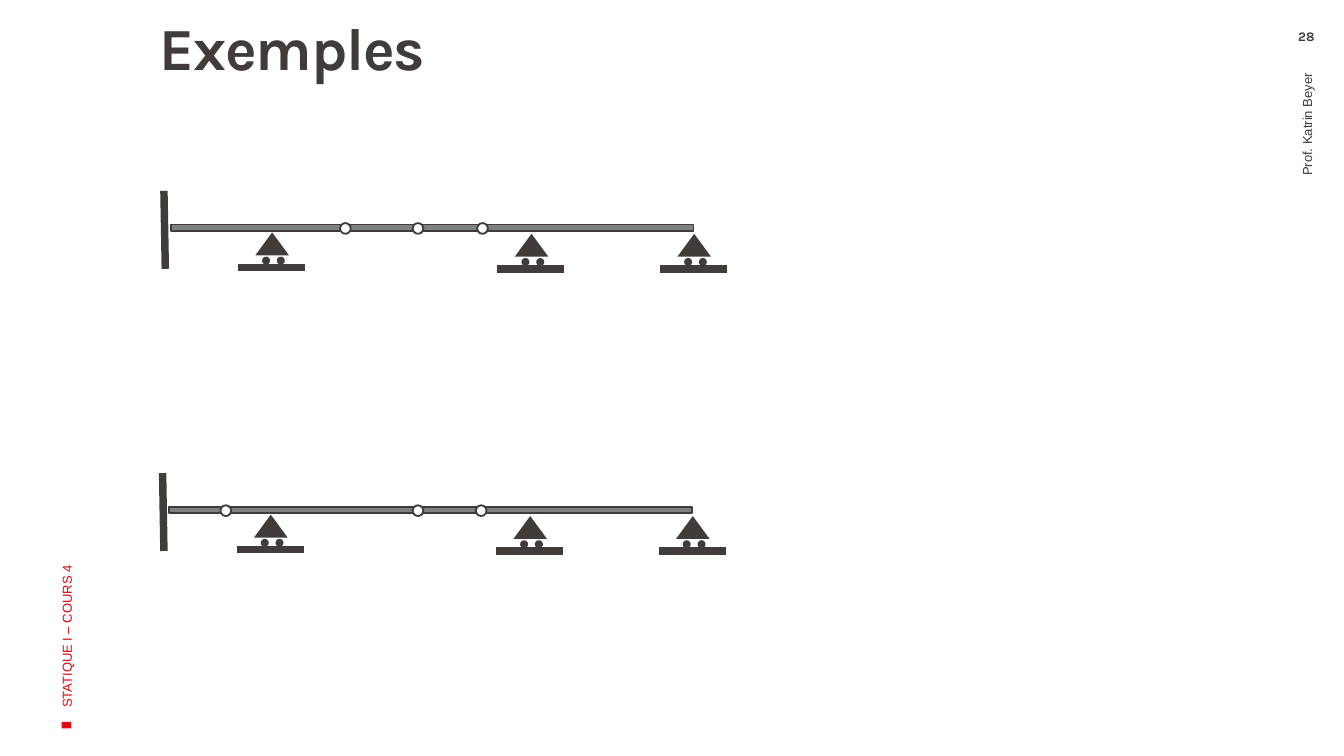
from dataclasses import dataclass

from lxml import etree
from pptx import Presentation
from pptx.dml.color import RGBColor
from pptx.enum.shapes import MSO_CONNECTOR, MSO_SHAPE
from pptx.enum.text import MSO_ANCHOR, MSO_AUTO_SIZE, PP_ALIGN
from pptx.oxml.ns import qn
from pptx.util import Inches, Pt

RECT, OVAL = MSO_SHAPE.RECTANGLE, MSO_SHAPE.OVAL
WEDGE = MSO_SHAPE.ISOSCELES_TRIANGLE
LINE = MSO_CONNECTOR.STRAIGHT
TOP, MIDDLE = MSO_ANCHOR.TOP, MSO_ANCHOR.MIDDLE
LEFT, CENTER, RIGHT = PP_ALIGN.LEFT, PP_ALIGN.CENTER, PP_ALIGN.RIGHT


@dataclass(frozen=True)
class Theme:
    dark: RGBColor = RGBColor(0x41, 0x3C, 0x3A)
    gray: RGBColor = RGBColor(0x80, 0x80, 0x80)
    red: RGBColor = RGBColor(0xE3, 0x06, 0x13)
    white: RGBColor = RGBColor(0xFF, 0xFF, 0xFF)
    head: str = "Karla"
    body: str = "Arial"
    big: int = 32
    small: int = 7
    thin: int = 1
    thick: int = 4


THEME = Theme()


def add_form(shapes, kind, box, fill, edge=None):
    form = shapes.add_shape(kind, *map(Inches, box))
    form.shadow.inherit = False
    form.fill.solid()
    form.fill.fore_color.rgb = fill
    if edge is None:
        form.line.fill.background()
    else:
        form.line.color.rgb = edge
        form.line.width = Pt(THEME.thin)
    return form


def add_bar(shapes, start, end):
    bar = shapes.add_connector(LINE, *map(Inches, (*start, *end)))
    bar.line.color.rgb = THEME.dark
    bar.line.width = Pt(THEME.thick)
    etree.SubElement(bar._element.spPr, qn("a:effectLst"))


def set_text(shape, text, font, size, color, bold=False, align=LEFT,
             anchor=TOP, insets=(0.1, 0.05, 0.1, 0.05)):
    frame = shape.text_frame
    frame.word_wrap = True
    frame.auto_size = MSO_AUTO_SIZE.NONE
    frame.vertical_anchor = anchor
    (frame.margin_left, frame.margin_top,
     frame.margin_right, frame.margin_bottom) = map(Inches, insets)
    para = frame.paragraphs[0]
    para.alignment = align
    run = para.add_run()
    run.text = text
    run.font.name = font
    run.font.size = Pt(size)
    run.font.bold = bold
    run.font.color.rgb = color
    return para, run


def add_label(slide, box, text, turn=0, **style):
    label = slide.shapes.add_textbox(*map(Inches, box))
    label.rotation = turn
    set_text(label, text, size=THEME.small, **style)


def add_title(slide, box, text):
    title = slide.shapes.title
    title.left, title.top, title.width, title.height = map(Inches, box)
    para, run = set_text(title, text, THEME.head, THEME.big, THEME.dark,
                         bold=True, insets=(0.2, 0, 0.08, 0.05))
    para.line_spacing = 0.9
    run.font._element.set("spc", "-70")


def add_margins(slide, width):
    mark = add_form(slide.shapes, RECT, (0.47, 5.36, 0.05, 0.07), THEME.red)
    mark.rotation = 270
    add_label(slide, (-1.33, 3.04, 3.65, 1), "STATIQUE I – COURS 4", 270,
              font=THEME.body, color=THEME.red, anchor=MIDDLE)
    add_label(slide, (width - 2.21, 2.05, 3.87, 0.56), "Prof. Katrin Beyer",
              270, font=THEME.body, color=THEME.dark, align=RIGHT,
              anchor=MIDDLE, insets=(0.1, 0.05, 0.15, 0.05))
    add_label(slide, (width - 0.56, 0.21, 0.56, 0.18), "28",
              font=THEME.head, color=THEME.dark, bold=True, align=CENTER,
              insets=(0.1, 0, 0.1, 0))


def add_roller(shapes, x, y):
    add_form(shapes, WEDGE, (x, y, 0.25, 0.17), THEME.dark)
    add_bar(shapes, (x - 0.13, y + 0.26), (x + 0.37, y + 0.26))
    for step in (0.05, 0.16):
        add_form(shapes, OVAL, (x + step, y + 0.18, 0.06, 0.06), THEME.dark)


def add_beam(slide, x, y, hinges):
    shapes = slide.shapes.add_group_shape().shapes
    add_form(shapes, RECT, (x + 0.05, y + 0.25, 3.89, 0.05),
             THEME.gray, THEME.dark)
    add_bar(shapes, (x, y), (x + 0.01, y + 0.58))
    for dx, dy in ((0.68, 0.31), (2.61, 0.32), (3.82, 0.32)):
        add_roller(shapes, x + dx, y + dy)
    for dx in hinges:
        add_form(shapes, OVAL, (x + dx, y + 0.24, 0.08, 0.08),
                 THEME.white, THEME.dark)


def main():
    deck = Presentation()
    width = 10
    deck.slide_width = Inches(width)
    deck.slide_height = Inches(width * 9 / 16)
    slide = deck.slides.add_slide(deck.slide_layouts[5])
    add_title(slide, (0.99, 0.14, 7.67, 1.17), "Exemples")
    add_margins(slide, width)
    add_beam(slide, 1.22, 1.42, (1.31, 1.85, 2.33))
    add_beam(slide, 1.21, 3.52, (0.43, 1.86, 2.33))
    deck.save("out.pptx")


if __name__ == "__main__":
    main()
